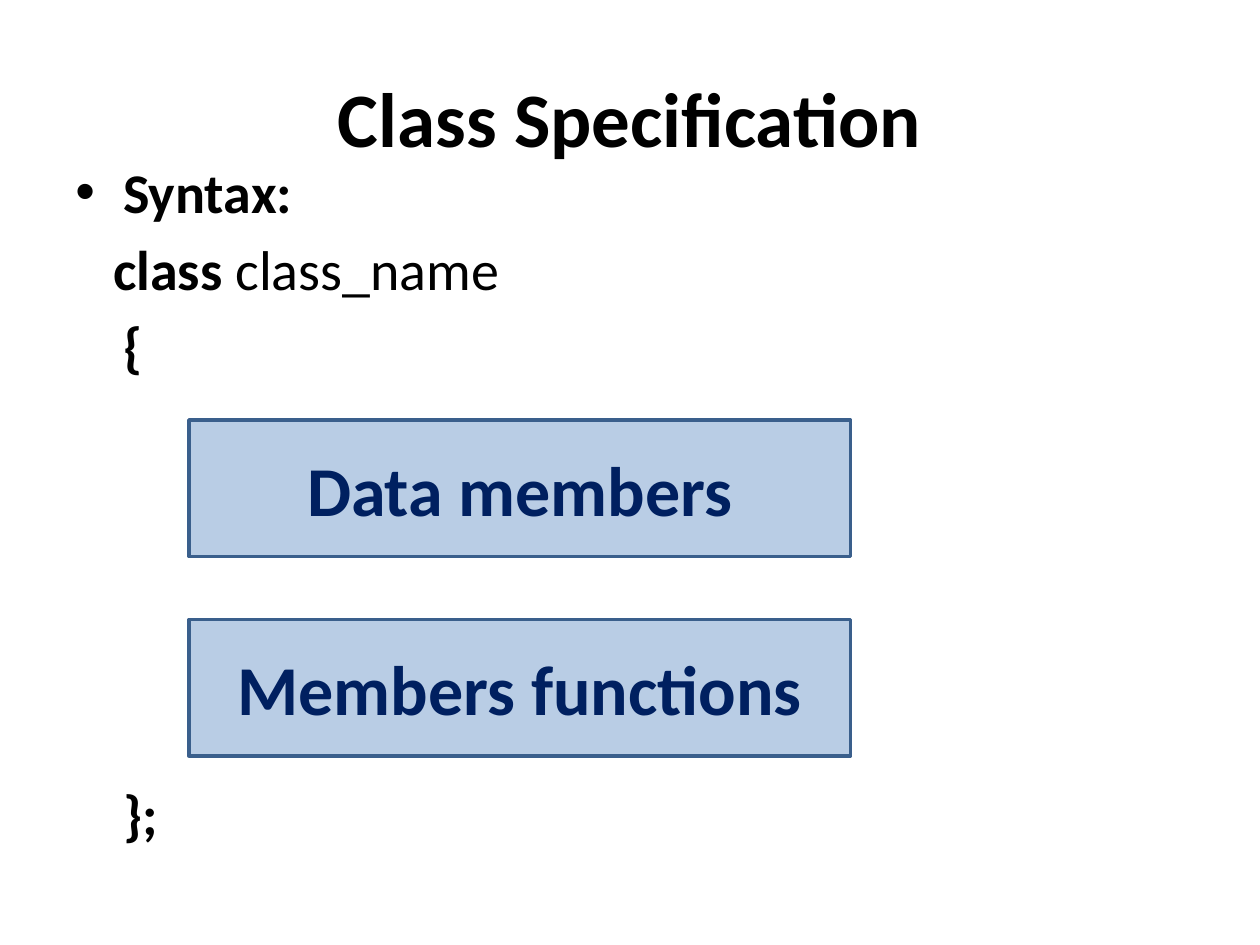
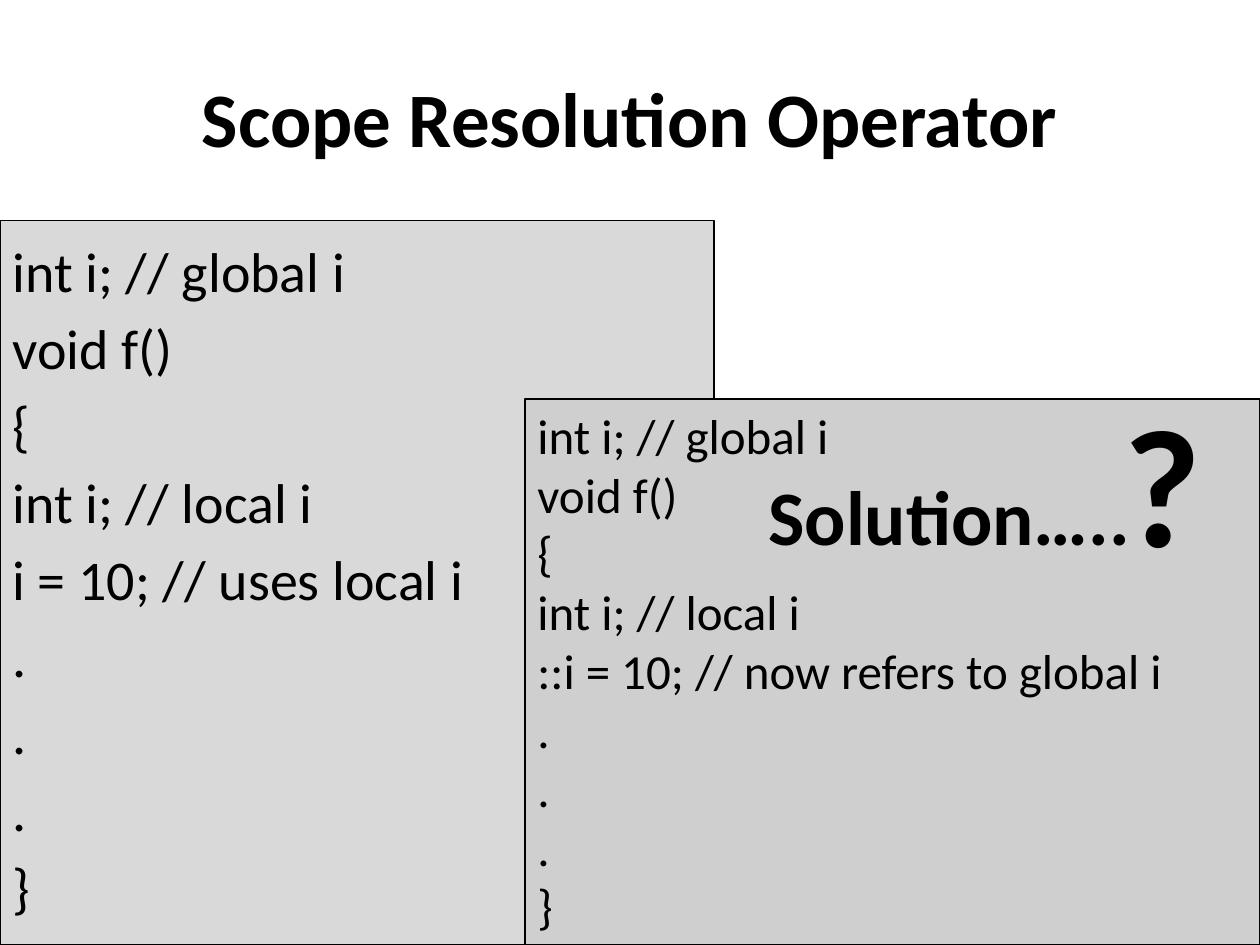
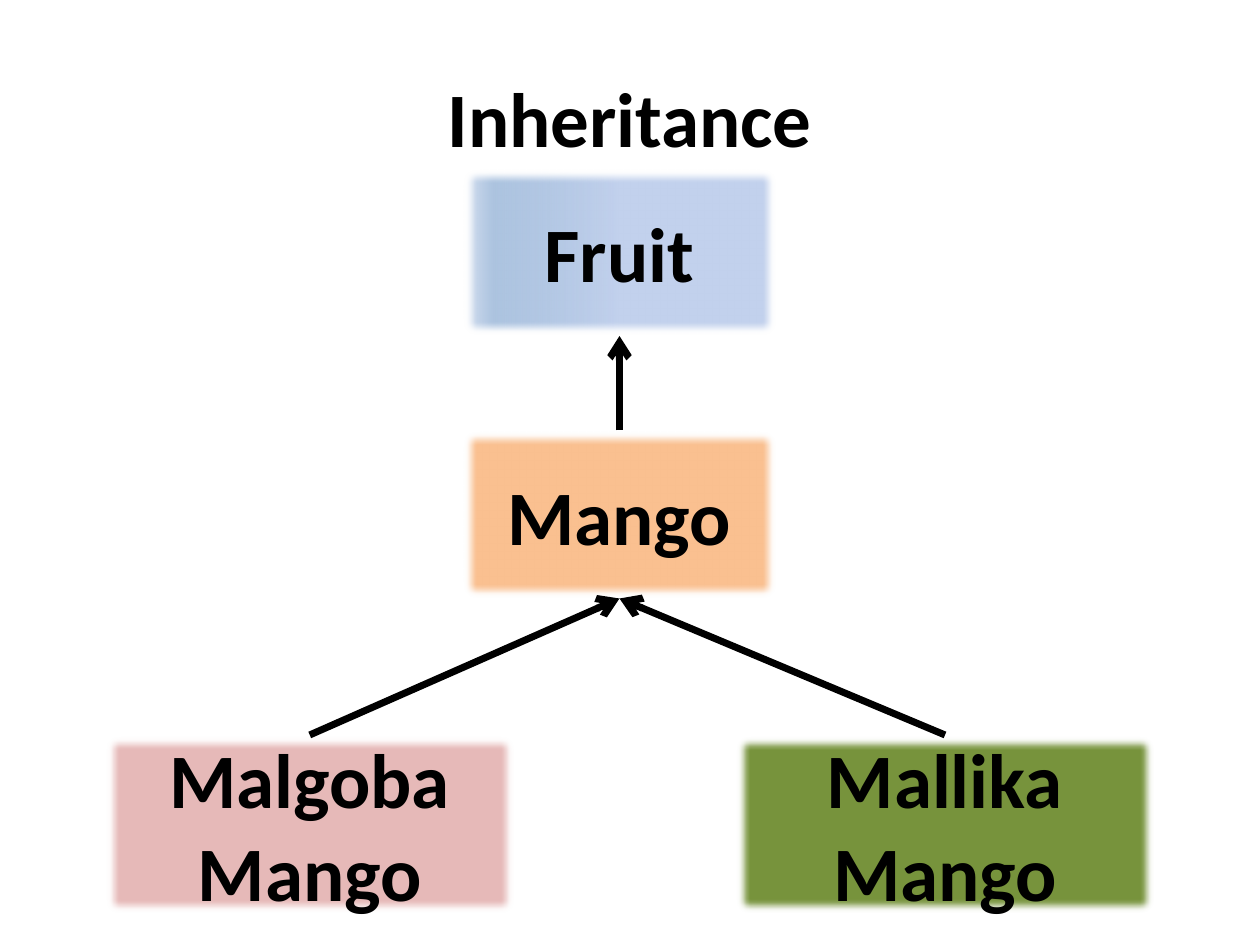
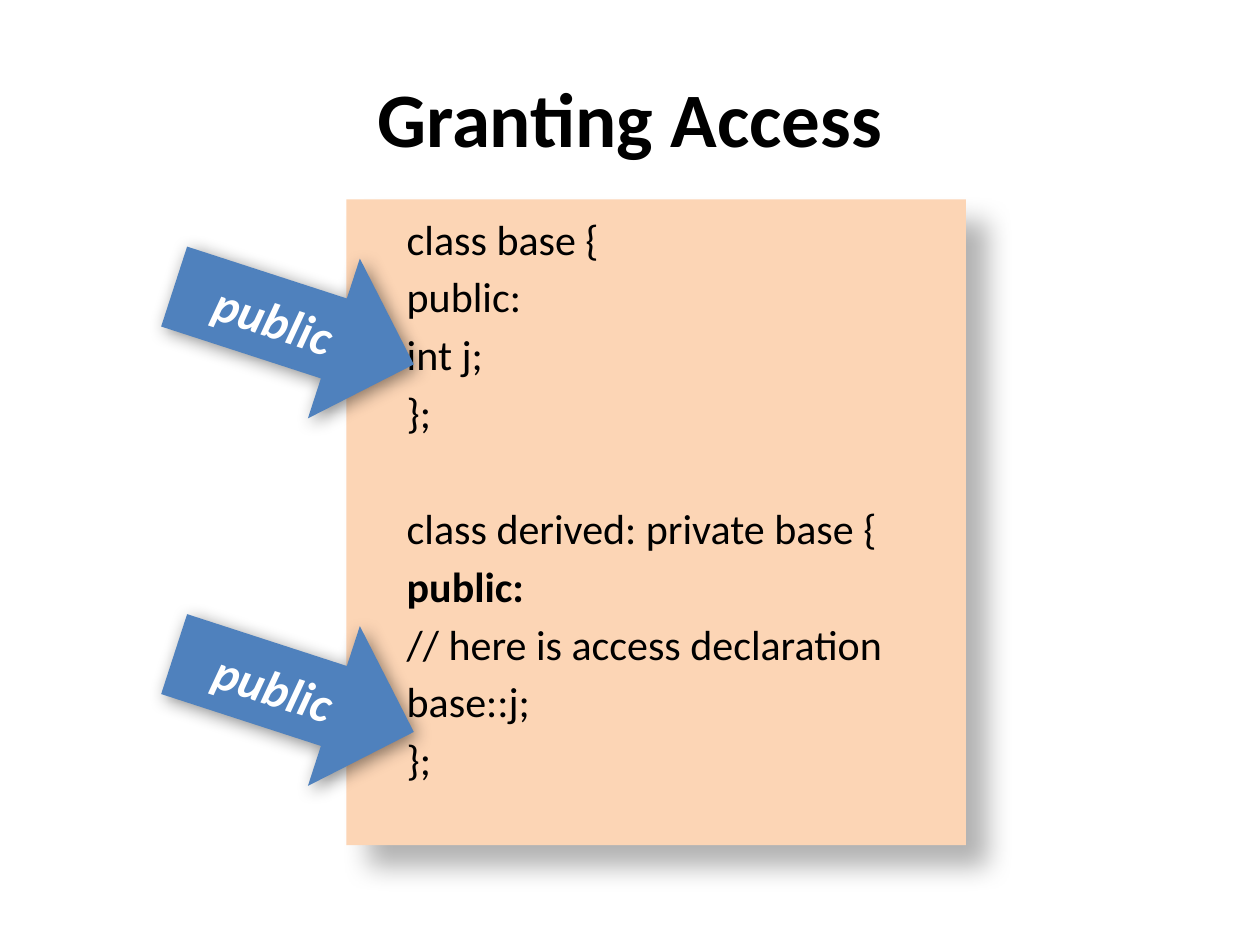
from lxml.etree import SubElement
from pptx import Presentation
from pptx.dml.color import RGBColor
from pptx.enum.shapes import MSO_CONNECTOR, MSO_SHAPE
from pptx.enum.text import MSO_ANCHOR, PP_ALIGN
from pptx.oxml.ns import qn
from pptx.util import Emu, Inches, Pt

# Shared look: a grid of 120 columns by 90 rows
WIDTH, HEIGHT = Inches(10), Inches(7.5)
COLUMN, ROW = WIDTH / 120, HEIGHT / 90
FONT = "Calibri"
TITLE_SIZE = 44
LINE_GAP = 0.175  # space before a line, as a share of its text size
COLORS = {
    "black": "000000", "white": "FFFFFF", "navy": "002060",
    "member": "B9CDE5", "member_edge": "3A5F8C",
    "problem": "D9D9D9", "solution": "CFCFCF",
    "fruit": "C2D1ED", "fruit_deep": "95B3D7", "fruit_pale": "E1E8F5",
    "mango": "FAC090", "malgoba": "E6B9B8", "mallika": "77933C",
    "access": "FCD5B5", "pointer": "4F81BD",
}
TITLE_AREA = (6, 3.6, 108, 15)


def rgb(name):
    return RGBColor.from_string(COLORS[name])


def place(area):
    """Turn columns and rows (left, top, width, height) into lengths."""
    left, top, width, height = area
    return (Emu(round(left * COLUMN)), Emu(round(top * ROW)),
            Emu(round(width * COLUMN)), Emu(round(height * ROW)))


# Text
def style(font, size, color="black", bold=False, italic=False):
    font.name, font.size = FONT, Pt(size)
    font.bold, font.italic = bold, italic
    font.color.rgb = rgb(color)


def write(frame, lines, size, align=PP_ALIGN.LEFT, anchor=MSO_ANCHOR.TOP,
          **look):
    frame.word_wrap = True
    frame.vertical_anchor = anchor
    for number, line in enumerate(lines):
        paragraph = frame.paragraphs[0] if number == 0 else frame.add_paragraph()
        paragraph.text = line
        paragraph.alignment = align
        style(paragraph.font, size, **look)
    return frame.paragraphs


def space_lines(frame, size, section_gaps=None):
    """Open up the lines; section_gaps gives skipped lines before a line."""
    gap = size * LINE_GAP
    frame.margin_top = Inches(0.05) + Pt(gap)
    for number, paragraph in enumerate(frame.paragraphs[1:], 1):
        skipped = (section_gaps or {}).get(number, 0)
        paragraph.space_before = Pt(round(gap + skipped * (size * 1.22 + gap), 1))


def indent(paragraph, inches, bullet=None):
    properties = paragraph._p.get_or_add_pPr()
    properties.set("marL", str(Inches(inches)))
    properties.set("indent", str(-Inches(inches) if bullet else 0))
    if bullet:
        SubElement(properties, qn("a:buFont"), typeface="Arial")
        SubElement(properties, qn("a:buChar"), char=bullet)


# Shapes
def add_block(slide, area, fill, edge=None, edge_width=1, kind=MSO_SHAPE.RECTANGLE):
    block = slide.shapes.add_shape(kind, *place(area))
    block.shadow.inherit = False
    block.fill.solid()
    block.fill.fore_color.rgb = rgb(fill)
    if edge:
        block.line.color.rgb = rgb(edge)
        block.line.width = Pt(edge_width)
    else:
        block.line.fill.background()
    return block


def add_label_block(slide, area, fill, lines, size, color="black", edge="black"):
    block = add_block(slide, area, fill, edge, 2)
    write(block.text_frame, lines, size, PP_ALIGN.CENTER, MSO_ANCHOR.MIDDLE,
          color=color, bold=True)
    return block


def add_note(slide, area, text, size, wrap=True):
    frame = slide.shapes.add_textbox(*place(area)).text_frame
    write(frame, [text], size, bold=True)
    frame.word_wrap = wrap


def effect_list(shape):
    return shape._element.spPr.find(qn("a:effectLst"))


def soften(shape, radius=5):
    SubElement(effect_list(shape), qn("a:softEdge"), rad=str(Pt(radius)))


def cast_shadow(shape, opacity, blur, distance):
    shadow = SubElement(effect_list(shape), qn("a:outerShdw"),
                        blurRad=str(Pt(blur)), dist=str(Pt(distance)),
                        dir=str(45 * 60000), algn="tl", rotWithShape="0")
    color = SubElement(shadow, qn("a:srgbClr"), val=COLORS["black"])
    SubElement(color, qn("a:alpha"), val=str(opacity * 1000))


def shade(shape, stops, angle):
    shape.fill.gradient()
    shape.fill.gradient_angle = angle
    stop_list = shape._element.spPr.find(qn("a:gradFill")).find(qn("a:gsLst"))
    for old in list(stop_list):
        stop_list.remove(old)
    for position, name, opacity in stops:
        stop = SubElement(stop_list, qn("a:gs"), pos=str(position * 1000))
        color = SubElement(stop, qn("a:srgbClr"), val=COLORS[name])
        if opacity < 100:
            SubElement(color, qn("a:alpha"), val=str(opacity * 1000))


def add_inheritance_arrow(slide, child, parent):
    arrow = slide.shapes.add_connector(MSO_CONNECTOR.STRAIGHT, 0, 0, 0, 0)
    arrow.begin_connect(child, 0)
    arrow.end_connect(parent, 2)
    arrow.line.color.rgb = rgb("black")
    arrow.line.width = Pt(4)
    SubElement(arrow.line._get_or_add_ln(), qn("a:tailEnd"), type="arrow")
    SubElement(arrow._element.spPr, qn("a:effectLst"))


def add_titled_slide(deck, title):
    slide = deck.slides.add_slide(deck.slide_layouts[5])
    heading = slide.shapes.title
    heading.left, heading.top, heading.width, heading.height = place(TITLE_AREA)
    write(heading.text_frame, [title], TITLE_SIZE, PP_ALIGN.CENTER,
          MSO_ANCHOR.MIDDLE, bold=True)
    return slide


# Slides
def build_class_specification(deck):
    slide = add_titled_slide(deck, "Class Specification")
    size = 32
    frame = slide.shapes.add_textbox(*place((6, 13.5, 108, 59.4))).text_frame
    syntax, declaration, opening, closing = write(
        frame, ["Syntax:", "class ", "{", "};"], size, bold=True)
    class_name = declaration.add_run()
    class_name.text = "class_name"
    class_name.font.bold = False
    space_lines(frame, size, {3: 5})
    syntax_font = syntax.font
    properties = syntax._p.get_or_add_pPr()
    properties.remove(syntax_font._element)
    indent(syntax, 0.38, "•")
    style(syntax.font, size, bold=True)
    indent(declaration, 0.3)
    for brace in (opening, closing):
        indent(brace, 0.38)

    for number, members in enumerate(["Data members", "Members functions"]):
        add_label_block(slide, (18, 40 + 19 * number, 63, 13), "member",
                        [members], 40, "navy", "member_edge")


def build_scope_resolution(deck):
    slide = add_titled_slide(deck, "Scope Resolution Operator")
    start = ["int i; // global i", "void f()", "{", "int i; // local i"]
    end = [".", ".", ".", "}"]

    problem = add_block(slide, (0, 21, 68, 69), "problem", "black", 0.75)
    write(problem.text_frame, start + ["i = 10; // uses local i"] + end, 32)
    space_lines(problem.text_frame, 32)

    solution = add_block(slide, (50, 38, 70, 52), "solution", "black")
    write(solution.text_frame,
          start + ["::i = 10; // now refers to global i"] + end, 28)

    add_note(slide, (105.8, 35.6, 12.2, 20.4), "?", 96, wrap=False)
    add_note(slide, (72, 44, 42, 10), "Solution…..", 44)


def build_inheritance(deck):
    slide = add_titled_slide(deck, "Inheritance")
    family = [
        ((44, 16, 30, 16), "fruit", ["Fruit"]),
        ((44, 41, 30, 16), "mango", ["Mango"]),
        ((10, 70, 39, 17), "malgoba", ["Malgoba", "Mango"]),
        ((70, 70, 40, 17), "mallika", ["Mallika", "Mango"]),
    ]
    blocks = [add_label_block(slide, *member, 44) for member in family]
    for block in blocks:
        soften(block)
    fruit, mango, malgoba, mallika = blocks
    shade(fruit, [(50, "fruit", 100), (90, "fruit_deep", 78),
                  (100, "fruit_pale", 100)], 180)
    for child, parent in [(mango, fruit), (malgoba, mango), (mallika, mango)]:
        add_inheritance_arrow(slide, child, parent)


def build_granting_access(deck):
    slide = add_titled_slide(deck, "Granting Access")
    size = 24
    code = add_block(slide, (33, 19, 59, 61.5), "access")
    cast_shadow(code, 30, 15, 18)
    lines = write(code.text_frame, [
        "class base {", "public:", "int j;", "};",
        "class derived: private base {", "public:",
        "// here is access declaration", "base::j;", "};"], size)
    space_lines(code.text_frame, size, {4: 1})
    for line in lines:
        indent(line, 0.38)
    lines[5].font.bold = True

    for top in (23, 58):
        pointer = add_block(slide, (16, top, 24, 16), "pointer",
                            kind=MSO_SHAPE.RIGHT_ARROW)
        pointer.rotation = 18
        cast_shadow(pointer, 45, 10, 3)
        write(pointer.text_frame, ["public"], 28, PP_ALIGN.CENTER,
              MSO_ANCHOR.MIDDLE, color="white", bold=True, italic=True)


def main():
    deck = Presentation()
    deck.slide_width, deck.slide_height = WIDTH, HEIGHT
    build_class_specification(deck)
    build_scope_resolution(deck)
    build_inheritance(deck)
    build_granting_access(deck)
    deck.save("out.pptx")


if __name__ == "__main__":
    main()
